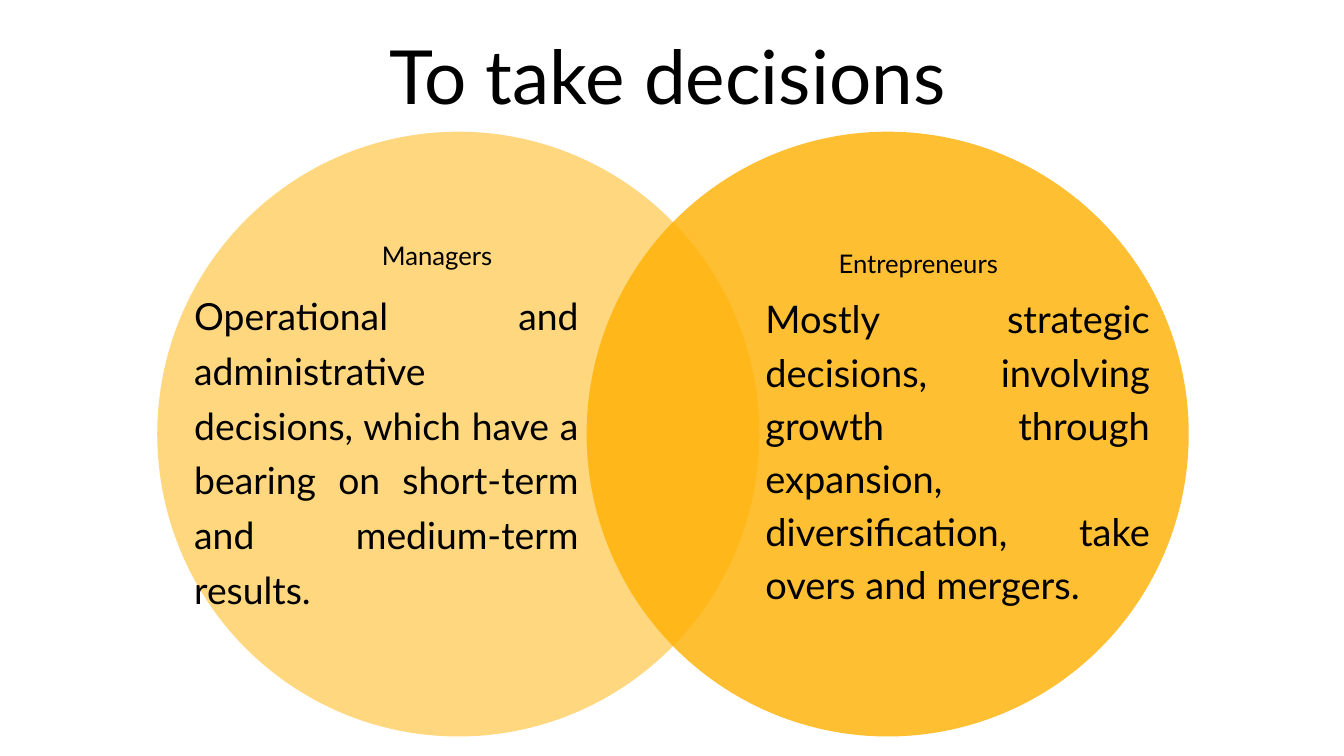
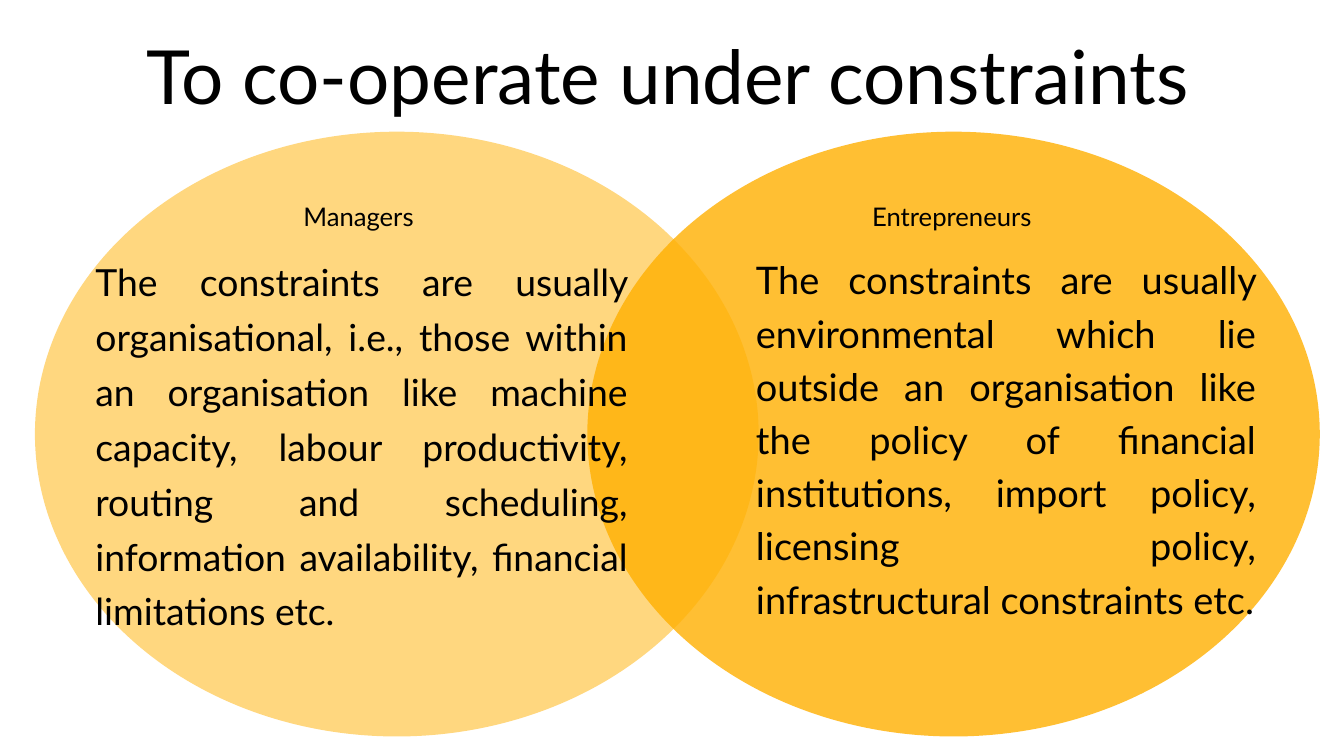
from dataclasses import dataclass

import pptx
import pptx.dml.color
import pptx.enum.shapes
import pptx.enum.text
import pptx.oxml.ns
import pptx.util
from lxml import etree

Inches = pptx.util.Inches
Pt = pptx.util.Pt
Align = pptx.enum.text.PP_ALIGN


@dataclass(frozen=True)
class TextStyle:
    size: float
    line_spacing: float
    alignment: Align


@dataclass(frozen=True)
class Theme:
    font: str = "Lato"
    ink: str = "000000"
    amber: str = "FFB001"
    title: TextStyle = TextStyle(80, 96, Align.CENTER)
    label: TextStyle = TextStyle(27.5, 41.2, Align.CENTER)
    managers: TextStyle = TextStyle(40, 58.8, Align.JUSTIFY)
    entrepreneurs: TextStyle = TextStyle(40.7, 57, Align.JUSTIFY)


def apply(target, values):
    for name, value in values.items():
        setattr(target, name, value)


class VennDeck:
    CIRCLE_TOP, CIRCLE_HEIGHT = 1.96, 9
    LABEL_WIDTH, LABEL_HEIGHT = 5.67, 0.54

    def __init__(self, theme):
        self.theme = theme
        self.presentation = pptx.Presentation()
        apply(self.presentation, {"slide_width": Inches(20), "slide_height": Inches(11.25)})
        self.slide = None

    def add_slide(self):
        self.slide = self.presentation.slides.add_slide(self.presentation.slide_layouts[6])

    def text(self, words, box, style):
        shape = self.slide.shapes.add_textbox(*map(Inches, box))
        frame = shape.text_frame
        apply(frame, {
            "margin_left": 0, "margin_top": 0, "margin_right": 0, "margin_bottom": 0,
            "word_wrap": True,
            "auto_size": pptx.enum.text.MSO_AUTO_SIZE.SHAPE_TO_FIT_TEXT,
        })
        paragraph = frame.paragraphs[0]
        apply(paragraph, {"alignment": style.alignment, "line_spacing": Pt(style.line_spacing)})
        run = paragraph.add_run()
        run.text = words
        apply(run.font, {"name": self.theme.font, "size": Pt(style.size)})
        run.font.color.rgb = pptx.dml.color.RGBColor.from_string(self.theme.ink)

    def title(self, words, height):
        self.text(words, (2.04, 0.45, 15.79, height), self.theme.title)

    def label(self, words, left, top):
        self.text(words, (left, top, self.LABEL_WIDTH, self.LABEL_HEIGHT), self.theme.label)

    def ellipse(self, left, width, opacity):
        """Add a translucent ellipse; opacity is a percentage."""
        shape = self.slide.shapes.add_shape(
            pptx.enum.shapes.MSO_SHAPE.OVAL,
            *map(Inches, (left, self.CIRCLE_TOP, width, self.CIRCLE_HEIGHT)))
        shape.shadow.inherit = False
        shape.line.fill.background()
        shape.fill.solid()
        shape.fill.fore_color.rgb = pptx.dml.color.RGBColor.from_string(self.theme.amber)
        color = shape.fill._xPr.find(".//" + pptx.oxml.ns.qn("a:srgbClr"))
        etree.SubElement(color, pptx.oxml.ns.qn("a:alpha"), val=str(opacity * 1000))

    def comparison(self, title, title_height, managers, entrepreneurs):
        """Add a slide of two overlapping ellipses, one for each role."""
        self.add_slide()
        self.ellipse(*entrepreneurs["ellipse"], 80)
        self.ellipse(*managers["ellipse"], 50)
        self.text(entrepreneurs["words"], entrepreneurs["box"], self.theme.entrepreneurs)
        self.text(managers["words"], managers["box"], self.theme.managers)
        self.title(title, title_height)
        self.label("Managers", *managers["label"])
        self.label("Entrepreneurs", *entrepreneurs["label"])


COMPARISONS = [
    {
        "title": "To take decisions",
        "title_height": 1.34,
        "managers": {
            "ellipse": (2.34, 8.96),
            "label": (3.67, 3.46),
            "box": (2.89, 4.21, 5.72, 4.92),
            "words": "Operational and administrative decisions, which have a bearing on "
                     "short-term and medium-term results.",
        },
        "entrepreneurs": {
            "ellipse": (8.73, 8.96),
            "label": (10.83, 3.57),
            "box": (11.39, 4.29, 5.72, 4.76),
            "words": "Mostly strategic decisions, involving growth through expansion, "
                     "diversification, take overs and mergers.",
        },
    },
    {
        "title": "To co-operate under constraints",
        "title_height": 2.69,
        "managers": {
            "ellipse": (0.52, 10.77),
            "label": (2.5, 2.87),
            "box": (1.42, 3.71, 7.92, 5.79),
            "words": "The constraints are usually organisational, i.e., those within an "
                     "organisation like machine capacity, labour productivity, routing and "
                     "scheduling, information availability, financial limitations etc.",
        },
        "entrepreneurs": {
            "ellipse": (8.74, 10.9),
            "label": (11.33, 2.88),
            "box": (11.25, 3.71, 7.44, 6.4),
            "words": "The constraints are usually environmental which lie outside an "
                     "organisation like the policy of financial institutions, import policy, "
                     "licensing policy, infrastructural constraints etc.",
        },
    },
]


def main():
    deck = VennDeck(Theme())
    for comparison in COMPARISONS:
        deck.comparison(**comparison)
    deck.presentation.save("out.pptx")


if __name__ == "__main__":
    main()
